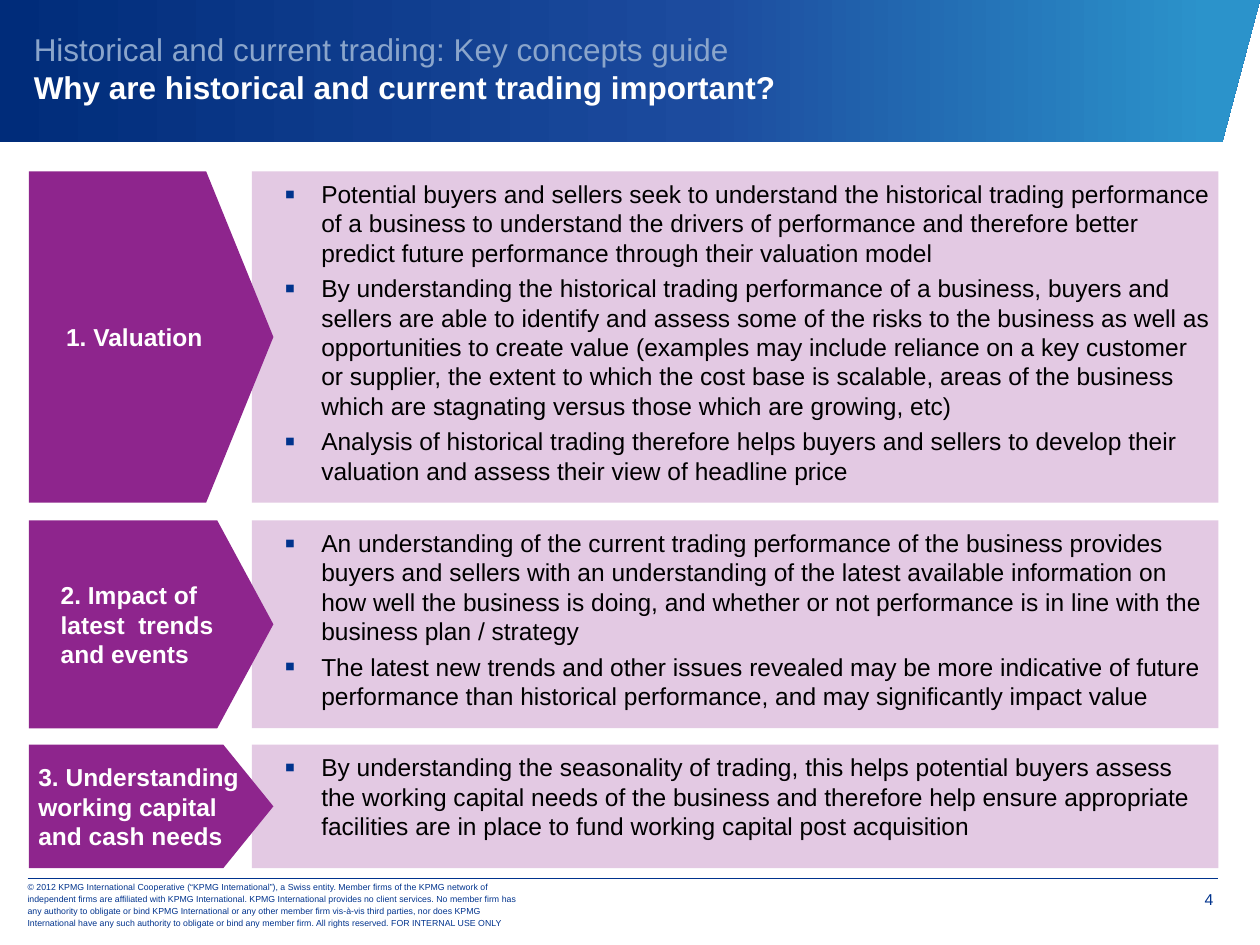
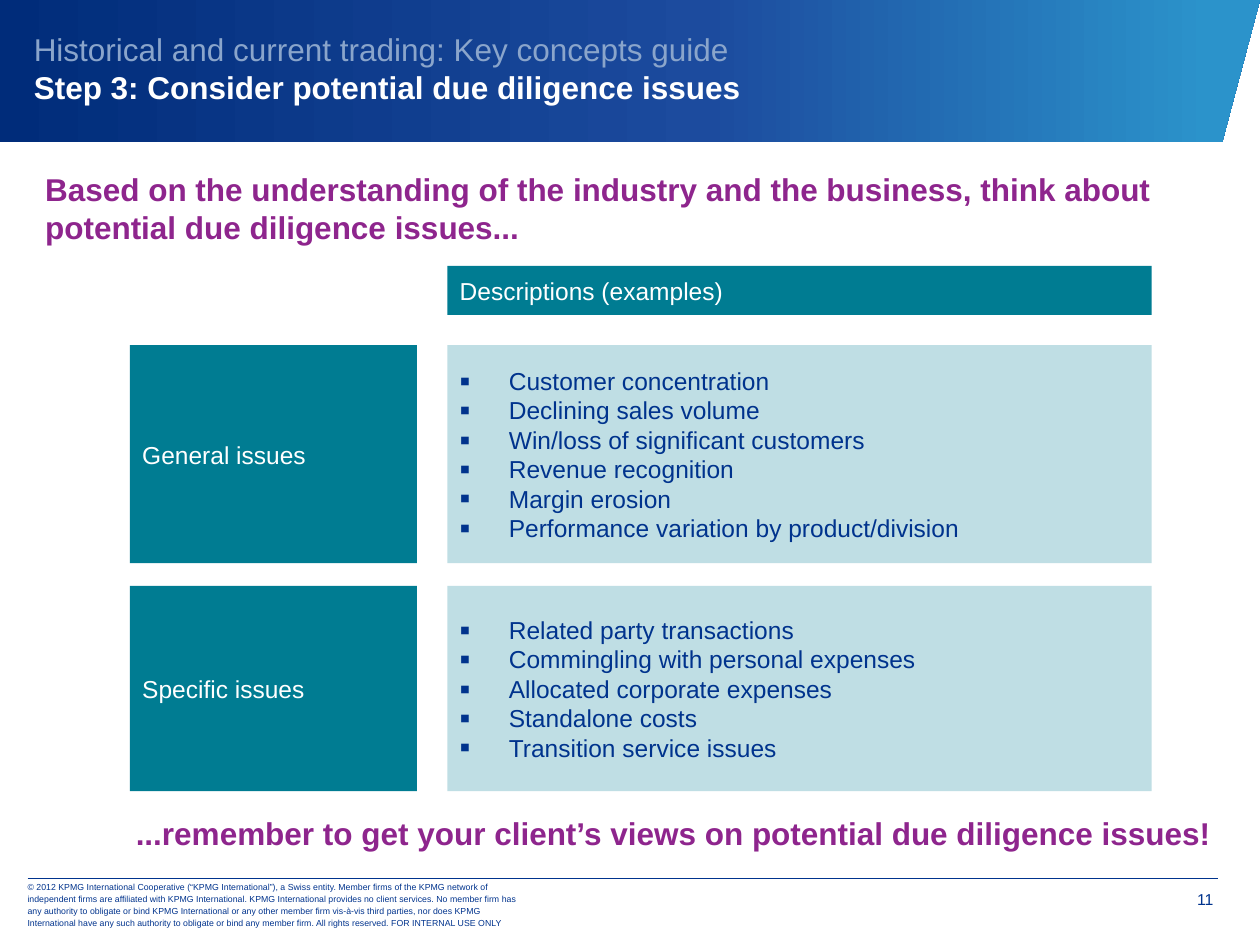
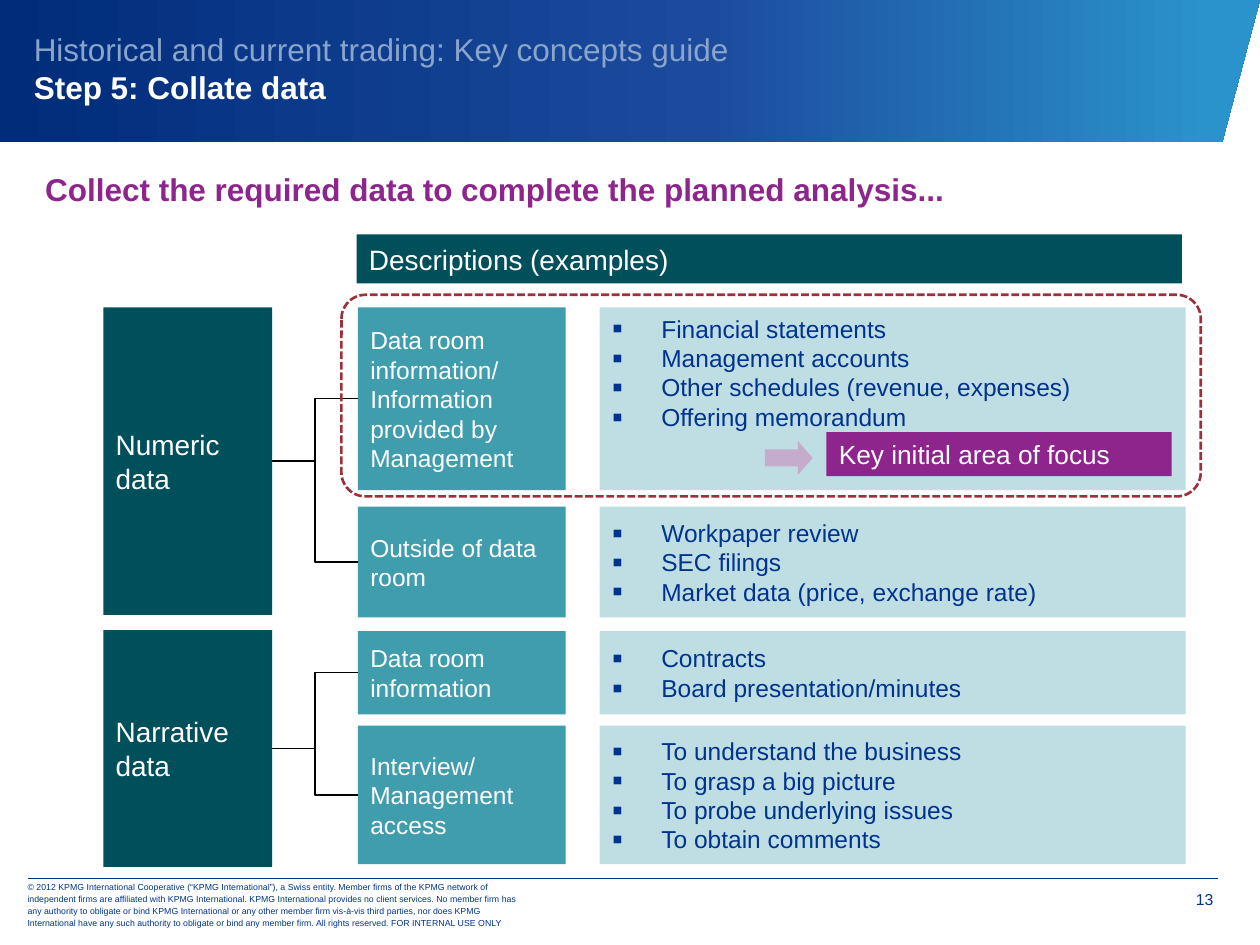
from lxml.etree import SubElement
from pptx import Presentation
from pptx.dml.color import RGBColor
from pptx.enum.dml import MSO_LINE
from pptx.enum.shapes import MSO_CONNECTOR, MSO_SHAPE
from pptx.enum.text import MSO_ANCHOR, PP_ALIGN
from pptx.oxml.ns import qn
from pptx.util import Inches, Pt

FONT = "Arial"
NAVY, WHITE, BLACK = "00338D", "FFFFFF", "000000"
PURPLE, LILAC, MAUVE = "8E258D", "E3C9E3", "C6ACCC"
TEAL, DARK_TEAL, MID_TEAL, PALE_TEAL = "007C92", "00505C", "409DAD", "BFDEE4"
SKY, RED = "8AA5CB", "9E3039"
BAND_STOPS = [(0, "002C7A"), (56, "1C4B9E"), (96, "2B93CB")]
BAND_OUTLINE = [(0, 1.13), (9.7, 1.13), (10, 0), (0, 0)]
RIGHT = PP_ALIGN.RIGHT
TOP, MIDDLE = MSO_ANCHOR.TOP, MSO_ANCHOR.MIDDLE
TIGHT = (0.06, 0.06, 0.06, 0.06)

GUIDE = "Historical and current trading: Key concepts guide"
COPYRIGHT = (
    "© 2012 KPMG International Cooperative (“KPMG International”), a Swiss entity. "
    "Member firms of the KPMG network of independent firms are affiliated with KPMG "
    "International. KPMG International provides no client services. No member firm has "
    "any authority to obligate or bind KPMG International or any other member firm "
    "vis-à-vis third parties, nor does KPMG International have any such authority to "
    "obligate or bind any member firm. All rights reserved. FOR INTERNAL USE ONLY"
)

REASONS = [
    ("1. Valuation", 1.36, 2.63, 0.275, [
        "Potential buyers and sellers seek to understand the historical trading "
        "performance of a business to understand the drivers of performance and "
        "therefore better predict future performance through their valuation model",
        "By understanding the historical trading performance of a business, buyers and "
        "sellers are able to identify and assess some of the risks to the business as "
        "well as opportunities to create value (examples may include reliance on a key "
        "customer or supplier, the extent to which the cost base is scalable, areas of "
        "the business which are stagnating versus those which are growing, etc)",
        "Analysis of historical trading therefore helps buyers and sellers to develop "
        "their valuation and assess their view of headline price",
    ]),
    ("2. Impact of latest  trends and events", 4.13, 1.65, 0.27, [
        "An understanding of the current trading performance of the business provides "
        "buyers and sellers with an understanding of the latest available information on "
        "how well the business is doing, and whether or not performance is in line with "
        "the business plan / strategy",
        "The latest new trends and other issues revealed may be more indicative of future "
        "performance than historical performance, and may significantly impact value",
    ]),
    ("3. Understanding working capital and cash needs", 5.91, 0.98, 0.405, [
        "By understanding the seasonality of trading, this helps potential buyers assess "
        "the working capital needs of the business and therefore help ensure appropriate "
        "facilities are in place to fund working capital post acquisition",
    ]),
]

ISSUES = [
    ("General issues", 2.74, 1.73, [
        "Customer concentration", "Declining sales volume",
        "Win/loss of significant customers", "Revenue recognition",
        "Margin erosion", "Performance variation by product/division",
    ]),
    ("Specific issues", 4.65, 1.63, [
        "Related party transactions", "Commingling with personal expenses",
        "Allocated corporate expenses", "Standalone costs", "Transition service issues",
    ]),
]

DATA_KINDS = [
    ("Numeric data", 2.44, 2.44, [
        (["Data room information/", "Information provided by Management"], 2.44, 1.45, TOP, [
            "Financial statements", "Management accounts",
            "Other schedules (revenue, expenses)", "Offering memorandum",
        ]),
        (["Outside of data room"], 4.02, 0.88, MIDDLE, [
            "Workpaper review", "SEC filings", "Market data (price, exchange rate)",
        ]),
    ]),
    ("Narrative data", 5, 1.88, [
        (["Data room information"], 5.01, 0.66, MIDDLE, [
            "Contracts", "Board presentation/minutes",
        ]),
        (["Interview/ Management access"], 5.76, 1.1, MIDDLE, [
            "To understand the business", "To grasp a big picture",
            "To probe underlying issues", "To obtain comments",
        ]),
    ]),
]


def color(value):
    return RGBColor.from_string(value)


def set_font(font, size, value, bold=False):
    font.name, font.size, font.bold = FONT, Pt(size), bold
    font.color.rgb = color(value)


def add_bullet(paragraph, margin, hanging):
    properties = paragraph._p.get_or_add_pPr()
    properties.set("marL", str(Inches(margin)))
    properties.set("indent", str(-Inches(hanging)))
    tint = SubElement(properties, qn("a:buClr"))
    SubElement(tint, qn("a:srgbClr"), val=NAVY)
    SubElement(properties, qn("a:buSzPct"), val="125000")
    SubElement(properties, qn("a:buFont"), typeface=FONT)
    SubElement(properties, qn("a:buChar"), char="▪")


def write(box, lines, size, value, bold=False, align=PP_ALIGN.LEFT, anchor=MIDDLE,
          insets=(0.1, 0.05, 0.1, 0.05), bullet=None, gap=0):
    frame = box.text_frame
    frame.word_wrap = True
    frame.vertical_anchor = anchor
    (frame.margin_left, frame.margin_top,
     frame.margin_right, frame.margin_bottom) = map(Inches, insets)
    for index, line in enumerate(lines):
        paragraph = frame.add_paragraph() if index else frame.paragraphs[0]
        paragraph.text = line
        paragraph.alignment = align
        if bullet:
            add_bullet(paragraph, *bullet)
        if index and gap:
            paragraph.space_before = Pt(gap)
        set_font(paragraph.font, size, value, bold)
    return frame


def add_block(page, kind, place, fill=None):
    block = page.shapes.add_shape(kind, *map(Inches, place))
    block.shadow.inherit = False
    block.line.fill.background()
    if fill:
        block.fill.solid()
        block.fill.fore_color.rgb = color(fill)
    else:
        block.fill.background()
    return block


def add_label(page, place, fill, lines, size=14):
    block = add_block(page, MSO_SHAPE.RECTANGLE, place, fill)
    write(block, lines, size, WHITE)
    return block


def add_list(page, place, lines, anchor=MIDDLE):
    block = add_block(page, MSO_SHAPE.RECTANGLE, place, PALE_TEAL)
    write(block, lines, 14, NAVY, anchor=anchor, bullet=(0.39, 0.39))


def add_text(page, place, lines, size, value, **style):
    box = page.shapes.add_textbox(*map(Inches, place))
    return write(box, lines, size, value, **style)


def add_line(page, kind, start, end, value, width):
    line = page.shapes.add_connector(kind, *map(Inches, start + end))
    line.line.color.rgb = color(value)
    line.line.width = Pt(width)
    SubElement(line.element.spPr, qn("a:effectLst"))
    return line


def add_band(page):
    points = [(Inches(x), Inches(y)) for x, y in BAND_OUTLINE]
    builder = page.shapes.build_freeform(*points[0])
    builder.add_line_segments(points[1:], close=True)
    band = builder.convert_to_shape()
    band.shadow.inherit = False
    band.line.fill.background()
    band.fill.gradient()
    band.fill.gradient_angle = 0
    stops = band.element.spPr.find(qn("a:gradFill")).find(qn("a:gsLst"))
    for stop in list(stops):
        stops.remove(stop)
    for position, value in BAND_STOPS:
        stop = SubElement(stops, qn("a:gs"), pos=str(position * 1000))
        SubElement(stop, qn("a:srgbClr"), val=value)


def add_page(deck, title, number):
    page = deck.slides.add_slide(deck.slide_layouts[6])
    add_band(page)
    add_text(page, (9.08, 6.98, 0.55, 0.31), [str(number)], 9, NAVY, align=RIGHT,
             anchor=TOP, insets=(0.08, 0.08, 0, 0))
    notice = add_text(page, (0.12, 7, 4.15, 0.35), [COPYRIGHT], 5, NAVY)
    notice.paragraphs[0].line_spacing = Pt(7)
    add_line(page, MSO_CONNECTOR.STRAIGHT, (0.22, 6.97), (9.67, 6.97), NAVY, 0.25)
    heading = add_text(page, (0.17, 0, 9.83, 1.08), [GUIDE], 18, SKY).paragraphs[0]
    heading.add_line_break()
    span = heading.add_run()
    span.text = title
    set_font(span.font, 18, WHITE, True)
    return page


def add_message(page, place, message, align=PP_ALIGN.LEFT):
    add_text(page, place, [message], 18, PURPLE, bold=True, align=align, anchor=TOP)


def build_reasons(deck):
    page = add_page(deck, "Why are historical and current trading important?", 4)
    for reason, top, height, point, details in REASONS:
        panel = add_block(page, MSO_SHAPE.RECTANGLE, (2, top, 7.67, height), LILAC)
        write(panel, details, 14, BLACK, anchor=TOP, insets=TIGHT,
              bullet=(0.49, 0.29), gap=3.5)
        pointer = add_block(page, MSO_SHAPE.PENTAGON, (0.23, top, 1.94, height), PURPLE)
        pointer.adjustments[0] = point
        write(pointer, [reason], 14, WHITE, bold=True, insets=TIGHT)
        pointer.element.txBody.bodyPr.set("anchorCtr", "1")


def build_issues(deck):
    page = add_page(deck, "Step 3: Consider potential due diligence issues", 11)
    add_message(page, (0.26, 1.3, 9.42, 0.71),
                "Based on the understanding of the industry and the business, "
                "think about potential due diligence issues...")
    add_label(page, (3.55, 2.11, 5.59, 0.39), TEAL, ["Descriptions (examples)"])
    for issue, top, height, examples in ISSUES:
        add_label(page, (1.03, top, 2.28, height), TEAL, [issue])
        add_list(page, (3.55, top, 5.59, height), examples)
    add_message(page, (0.29, 6.41, 9.42, 0.4),
                "...remember to get your client’s views on potential due diligence issues!",
                RIGHT)


def build_data(deck):
    page = add_page(deck, "Step 5: Collate data", 13)
    add_message(page, (0.26, 1.3, 9.42, 0.4),
                "Collect the required data to complete the planned analysis...")
    add_label(page, (2.83, 1.86, 6.55, 0.39), DARK_TEAL, ["Descriptions (examples)"], 16)
    for kind, top, height, sources in DATA_KINDS:
        kind_box = add_label(page, (0.82, top, 1.34, height), DARK_TEAL, [kind], 16)
        for source, row_top, row_height, anchor, examples in sources:
            source_box = add_label(page, (2.84, row_top, 1.65, row_height), MID_TEAL, source)
            add_list(page, (4.76, row_top, 4.65, row_height), examples, anchor)
            branch = add_line(page, MSO_CONNECTOR.ELBOW, (2.16, top + height / 2),
                              (2.84, row_top + row_height / 2), BLACK, 0.75)
            branch.begin_connect(kind_box, 3)
            branch.end_connect(source_box, 1)
    add_label(page, (6.56, 3.43, 2.74, 0.35), PURPLE, ["Key initial area of focus"], 15)
    arrow = add_block(page, MSO_SHAPE.RIGHT_ARROW, (6.07, 3.5, 0.38, 0.27), MAUVE)
    arrow.adjustments[1] = 0.435
    focus = add_block(page, MSO_SHAPE.ROUNDED_RECTANGLE, (2.71, 2.34, 6.82, 1.6))
    focus.adjustments[0] = 0.119
    focus.line.color.rgb = color(RED)
    focus.line.width = Pt(1.5)
    focus.line.dash_style = MSO_LINE.SQUARE_DOT


def main():
    deck = Presentation()
    deck.slide_width, deck.slide_height = Inches(10), Inches(7.5)
    build_reasons(deck)
    build_issues(deck)
    build_data(deck)
    deck.save("out.pptx")


if __name__ == "__main__":
    main()
